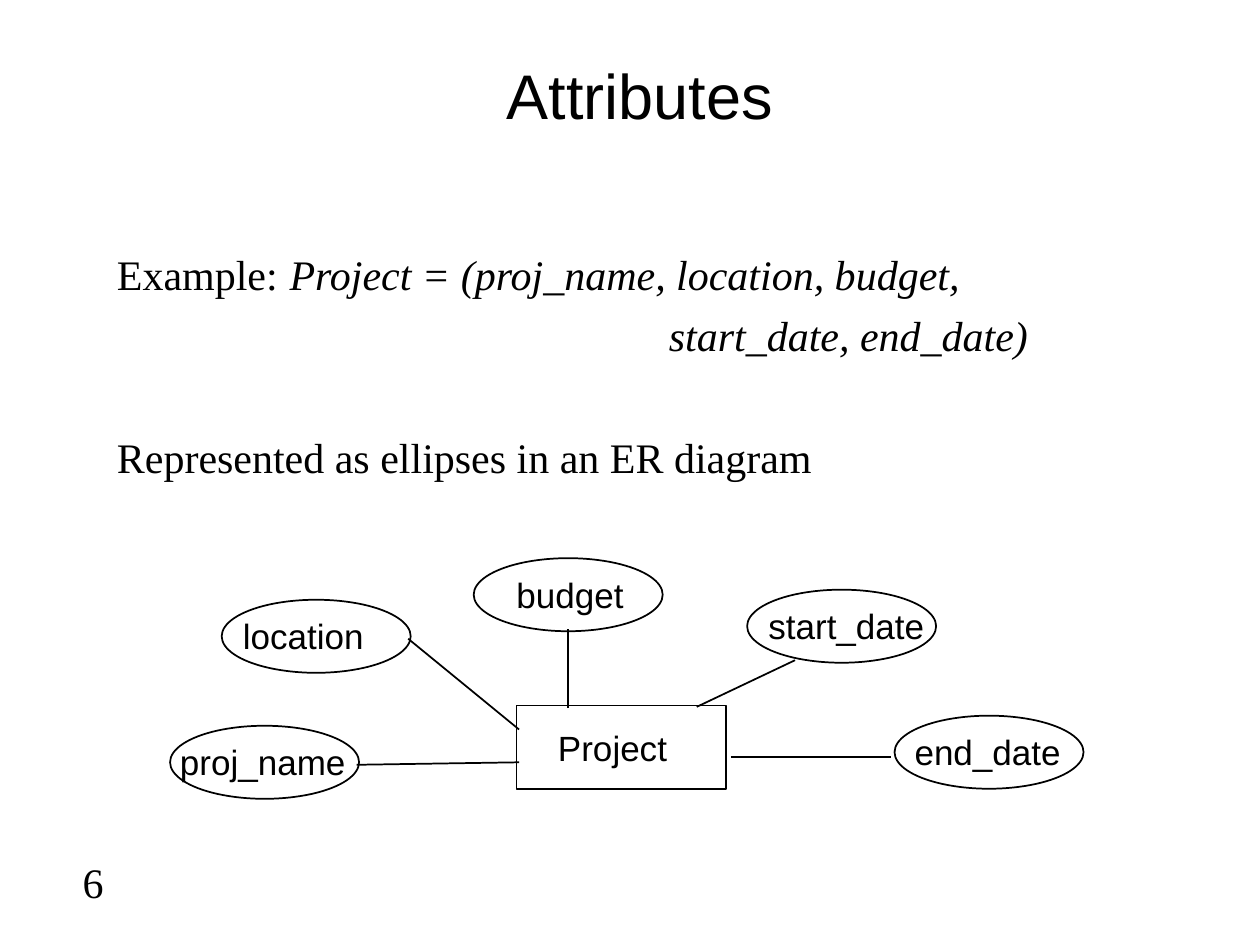
from pptx import Presentation
from pptx.dml.color import RGBColor
from pptx.enum.shapes import MSO_CONNECTOR, MSO_SHAPE
from pptx.enum.text import MSO_ANCHOR, PP_ALIGN
from pptx.oxml.ns import qn
from pptx.util import Inches, Pt
from lxml import etree

BLACK = RGBColor(0, 0, 0)
SANS, SERIF = "Arial", "Times New Roman"
RECTANGLE, ELLIPSE = MSO_SHAPE.RECTANGLE, MSO_SHAPE.OVAL
STRAIGHT = MSO_CONNECTOR.STRAIGHT
LEFT, CENTER, RIGHT = PP_ALIGN.LEFT, PP_ALIGN.CENTER, PP_ALIGN.RIGHT
MIDDLE = MSO_ANCHOR.MIDDLE
TITLE_ONLY = 5


class DiagramSlide:
    """Holds the style and the current slide."""

    def __init__(self, deck):
        self.slide = deck.slides.add_slide(deck.slide_layouts[TITLE_ONLY])
        self.shapes = self.slide.shapes

    def style(self, para, size, font, align=LEFT):
        para.alignment = align
        para.font.size = Pt(size)
        para.font.name = font
        para.font.color.rgb = BLACK

    def title(self, text, left, top, width, height):
        box = self.shapes.title
        box.left, box.top = Inches(left), Inches(top)
        box.width, box.height = Inches(width), Inches(height)
        box.text_frame.text = text
        box.text_frame.vertical_anchor = MIDDLE
        self.style(box.text_frame.paragraphs[0], 36, SANS, CENTER)

    def text_box(self, left, top, width, height):
        box = self.shapes.add_textbox(Inches(left), Inches(top), Inches(width), Inches(height))
        box.text_frame.word_wrap = True
        return box.text_frame

    def text(self, text, left, top, width, height, size, font, align=LEFT):
        frame = self.text_box(left, top, width, height)
        frame.text = text
        self.style(frame.paragraphs[0], size, font, align)

    def body(self, lines, left, top, width, height):
        """Each line is (spans, space before, indent, tab stop)."""
        frame = self.text_box(left, top, width, height)
        for index, (spans, space, indent, tab) in enumerate(lines):
            para = frame.add_paragraph() if index else frame.paragraphs[0]
            properties = para._p.get_or_add_pPr()
            properties.set("marL", str(Inches(indent)))
            if tab:
                tabs = etree.SubElement(properties, qn("a:tabLst"))
                etree.SubElement(tabs, qn("a:tab"), pos=str(Inches(tab)), algn="l")
            para.space_before = Pt(space)
            self.style(para, 24, SERIF)
            for text, italic in spans:
                span = para.add_run()
                span.text = text
                span.font.italic = italic

    def node(self, kind, left, top, width, height, label, label_left, label_top, label_width):
        shape = self.shapes.add_shape(kind, Inches(left), Inches(top), Inches(width), Inches(height))
        shape.shadow.inherit = False
        shape.fill.background()
        shape.line.color.rgb = BLACK
        shape.line.width = Pt(1)
        self.text(label, label_left, label_top, label_width, 0.43, 20, SANS)

    def line(self, start, end):
        line = self.shapes.add_connector(STRAIGHT, *map(Inches, start + end))
        line.line.color.rgb = BLACK
        line.line.width = Pt(1)
        etree.SubElement(line._element.spPr, qn("a:effectLst"))


def main():
    deck = Presentation()
    deck.slide_width, deck.slide_height = Inches(10), Inches(7.5)
    page = DiagramSlide(deck)

    # Title and explanation
    page.title("Attributes", 0.83, 0.25, 8.5, 1)
    page.body([
        ([("Example:\t", False), ("Project = (proj_name, location, budget,", True)], 0, 0, 1.37),
        ([("start_date, end_date)", True)], 6, 4.38, None),
        ([("Represented as ellipses in an ER diagram", False)], 41, 0, None),
    ], 0.83, 1.92, 8.5, 3.33)

    # Entity
    page.node(RECTANGLE, 4.1, 5.6, 1.66, 0.66, "Project", 4.33, 5.72, 1.15)

    # Attributes: label, ellipse left and top, label left and width,
    # then the line from the entity to the ellipse
    attributes = [
        ("proj_name", 1.35, 5.76, 1.33, 1.6, (4.12, 6.05), (2.83, 6.07)),
        ("location", 1.76, 4.76, 1.83, 1.25, (4.12, 5.79), (3.24, 5.07)),
        ("budget", 3.76, 4.43, 4.0, 1.15, (4.51, 5.62), (4.51, 4.99)),
        ("start_date", 5.93, 4.68, 6.0, 1.55, (5.53, 5.61), (6.31, 5.24)),
        ("end_date", 7.1, 5.68, 7.16, 1.45, (5.8, 6.01), (7.07, 6.01)),
    ]
    for label, left, top, label_left, label_width, start, end in attributes:
        page.node(ELLIPSE, left, top, 1.5, 0.58, label, label_left, top + 0.07, label_width)
        page.line(start, end)

    # Page number
    page.text("6", 0.17, 6.75, 0.75, 0.5, 24, SERIF, RIGHT)

    deck.save("out.pptx")


if __name__ == "__main__":
    main()
